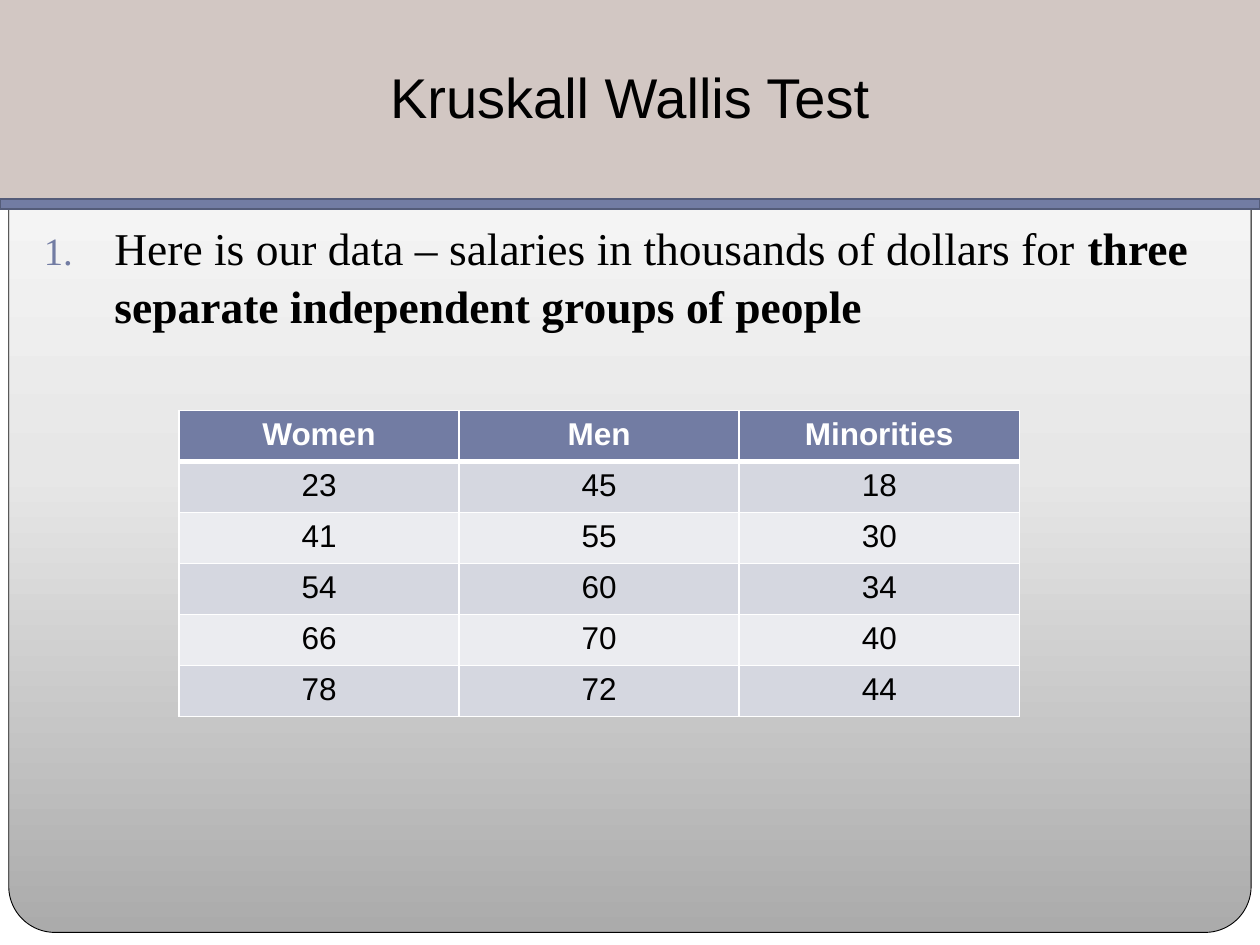
from lxml import etree
from pptx import Presentation
from pptx.dml.color import RGBColor
from pptx.enum.shapes import MSO_SHAPE
from pptx.enum.text import MSO_ANCHOR, PP_ALIGN
from pptx.oxml import parse_xml
from pptx.oxml.ns import nsdecls, qn
from pptx.util import Inches, Pt

RECTANGLE = MSO_SHAPE.RECTANGLE
ROUNDED = MSO_SHAPE.ROUNDED_RECTANGLE
MIDDLE = MSO_ANCHOR.MIDDLE
CENTER = PP_ALIGN.CENTER
ACCENT = "727CA3"


def color(value):
    return RGBColor.from_string(value)


def add_span(para, text, size, font, ink, bold=False):
    span = para.add_run()
    span.text = text
    span.font.size = Pt(size)
    span.font.name = font
    span.font.color.rgb = color(ink)
    span.font.bold = bold


deck = Presentation()
deck.slide_width, deck.slide_height = Inches(10), Inches(7.5)
page = deck.slides.add_slide(deck.slide_layouts[6])
page.background.fill.solid()
page.background.fill.fore_color.rgb = color("FFFFFF")

# Backing panel, title band and rule: kind, place, fill, line colour, line width
parts = [
    (ROUNDED, (0.07, 0.08, 9.86, 7.32), None, "000000", 0.5),
    (RECTANGLE, (0, 0, 10, 1.58), "D2C7C3", None, 0),
    (RECTANGLE, (0, 1.58, 10, 0.08), ACCENT, "545C79", 1),
]
shapes = []
for kind, place, fill, line, width in parts:
    shape = page.shapes.add_shape(kind, *(Inches(n) for n in place))
    shape.shadow.inherit = False
    if fill:
        shape.fill.solid()
        shape.fill.fore_color.rgb = color(fill)
    if line:
        shape.line.color.rgb = color(line)
        shape.line.width = Pt(width)
    else:
        shape.line.fill.background()
    shapes.append(shape)
panel, band, rule = shapes

# Three-stop gradient, dark at the bottom of the panel
panel.adjustments[0] = 0.05
stops = "".join(
    f'<a:gs pos="{position * 1000}"><a:srgbClr val="{value}"/></a:gs>'
    for position, value in [(0, "ABABAB"), (50, "E7E7E7"), (100, "FFFFFF")]
)
gradient = parse_xml(
    f'<a:gradFill {nsdecls("a")} rotWithShape="1"><a:gsLst>{stops}</a:gsLst>'
    '<a:lin ang="16200000" scaled="0"/></a:gradFill>'
)
panel._element.spPr.find(qn("a:prstGeom")).addnext(gradient)

# Title
frame = band.text_frame
frame.word_wrap = True
frame.vertical_anchor = MIDDLE
frame.margin_bottom = Inches(0.1)
para = frame.paragraphs[0]
para.alignment = CENTER
add_span(para, "Kruskall Wallis Test", 32, "Arial", "000000")

# Numbered statement
box = page.shapes.add_textbox(Inches(0.25), Inches(1.67), Inches(9.5), Inches(0.75))
box.text_frame.word_wrap = True
para = box.text_frame.paragraphs[0]
para.line_spacing = 1.06
properties = para._p.get_or_add_pPr()
properties.set("marL", str(Inches(0.56)))
properties.set("indent", str(Inches(-0.56)))
bullet_color = etree.SubElement(properties, qn("a:buClr"))
etree.SubElement(bullet_color, qn("a:srgbClr"), val=ACCENT)
etree.SubElement(properties, qn("a:buSzPct"), val="85000")
etree.SubElement(properties, qn("a:buFont"), typeface="Times New Roman")
etree.SubElement(properties, qn("a:buAutoNum"), type="arabicPeriod")
for text, bold in [
    ("Here is our data – salaries in thousands of dollars for ", False),
    ("three separate independent groups of people", True),
]:
    add_span(para, text, 26, "Times New Roman", "000000", bold)

# Salary table
rows = [
    ("Women", "Men", "Minorities"),
    (23, 45, 18),
    (41, 55, 30),
    (54, 60, 34),
    (66, 70, 40),
    (78, 72, 44),
]
table = page.shapes.add_table(
    len(rows), 3, Inches(1.42), Inches(3.26), Inches(6.67), Inches(2.43)
).table
for row_number, values in enumerate(rows):
    header = row_number == 0
    fill = ACCENT if header else ("EBECF0", "D5D7E0")[row_number % 2]
    for column, value in enumerate(values):
        cell = table.cell(row_number, column)
        para = cell.text_frame.paragraphs[0]
        para.alignment = CENTER
        add_span(para, str(value), 18, "Arial", "FFFFFF" if header else "000000", header)
        # White borders, heavier on both sides of the edge under the header
        for side in "LRTB":
            heavy = (row_number, side) in [(0, "B"), (1, "T")]
            border = etree.SubElement(
                cell._tc.get_or_add_tcPr(), qn(f"a:ln{side}"), w=str(Pt(3 if heavy else 1))
            )
            solid = etree.SubElement(border, qn("a:solidFill"))
            etree.SubElement(solid, qn("a:srgbClr"), val="FFFFFF")
        cell.fill.solid()
        cell.fill.fore_color.rgb = color(fill)

deck.save("out.pptx")
